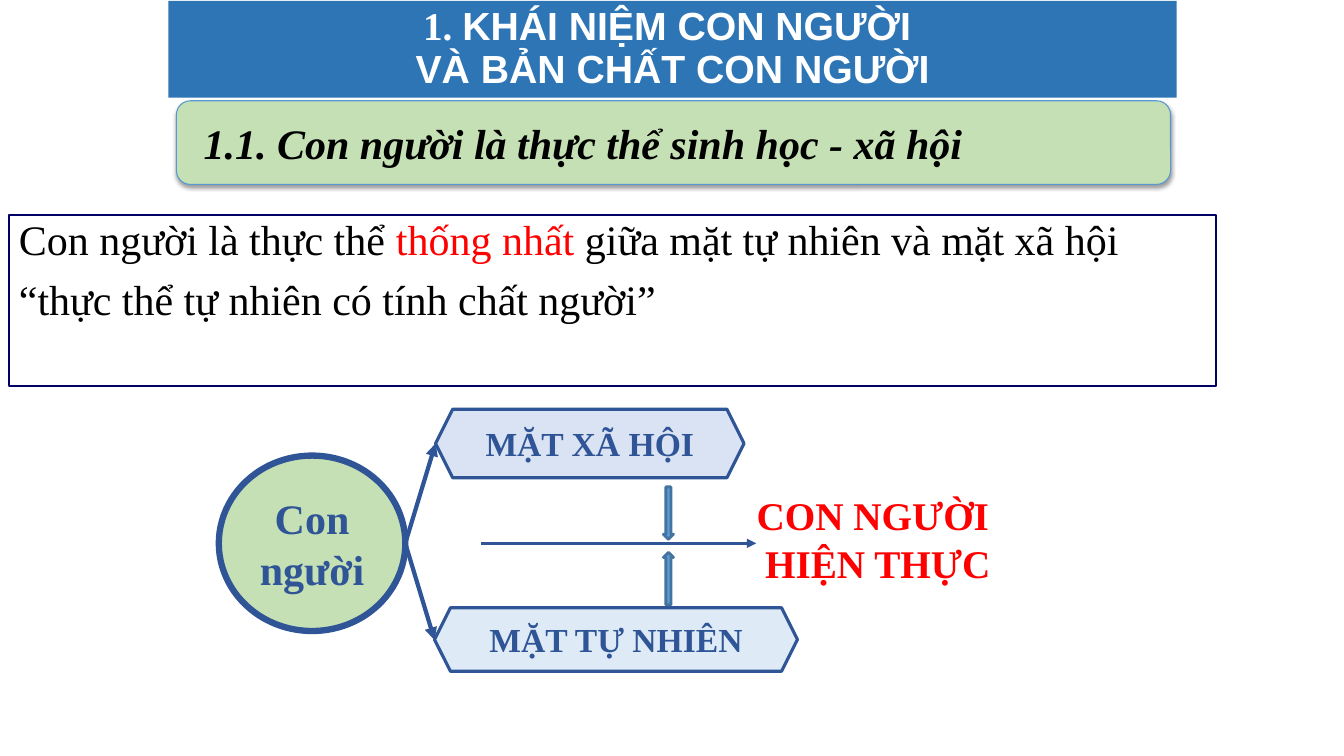
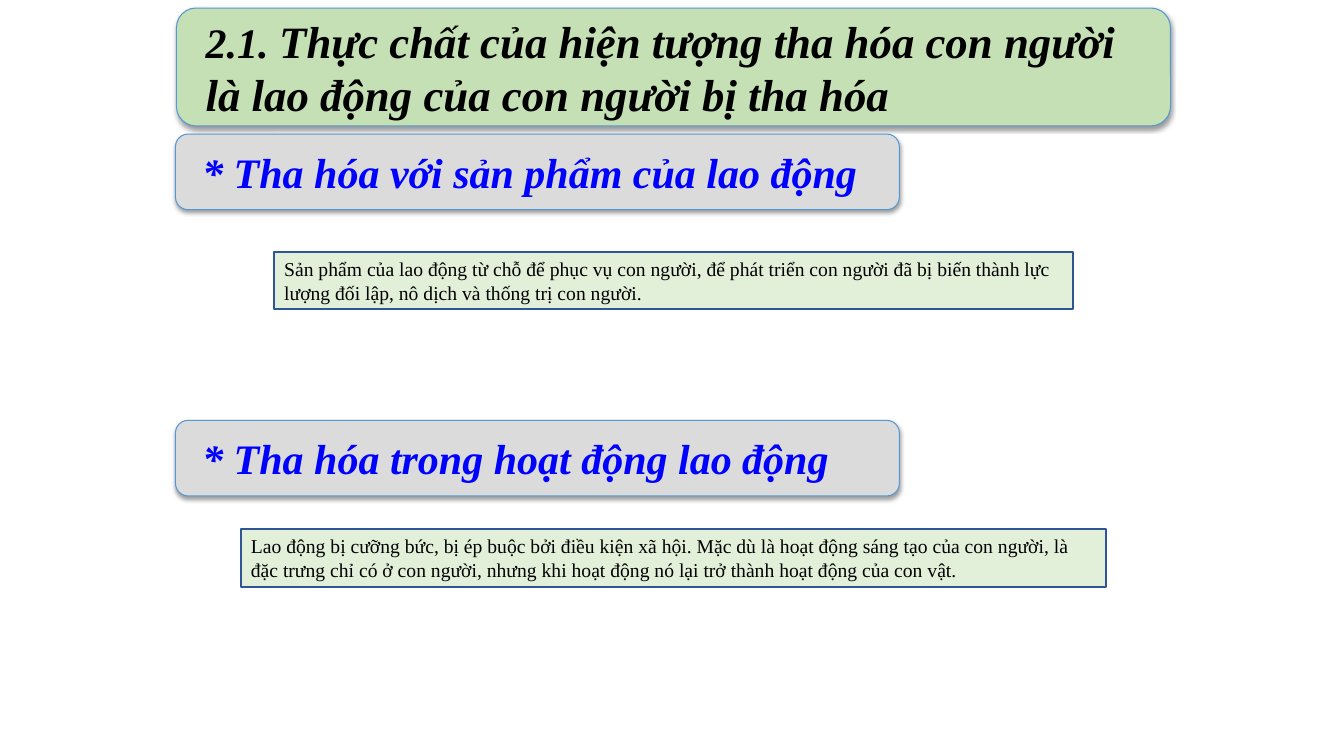
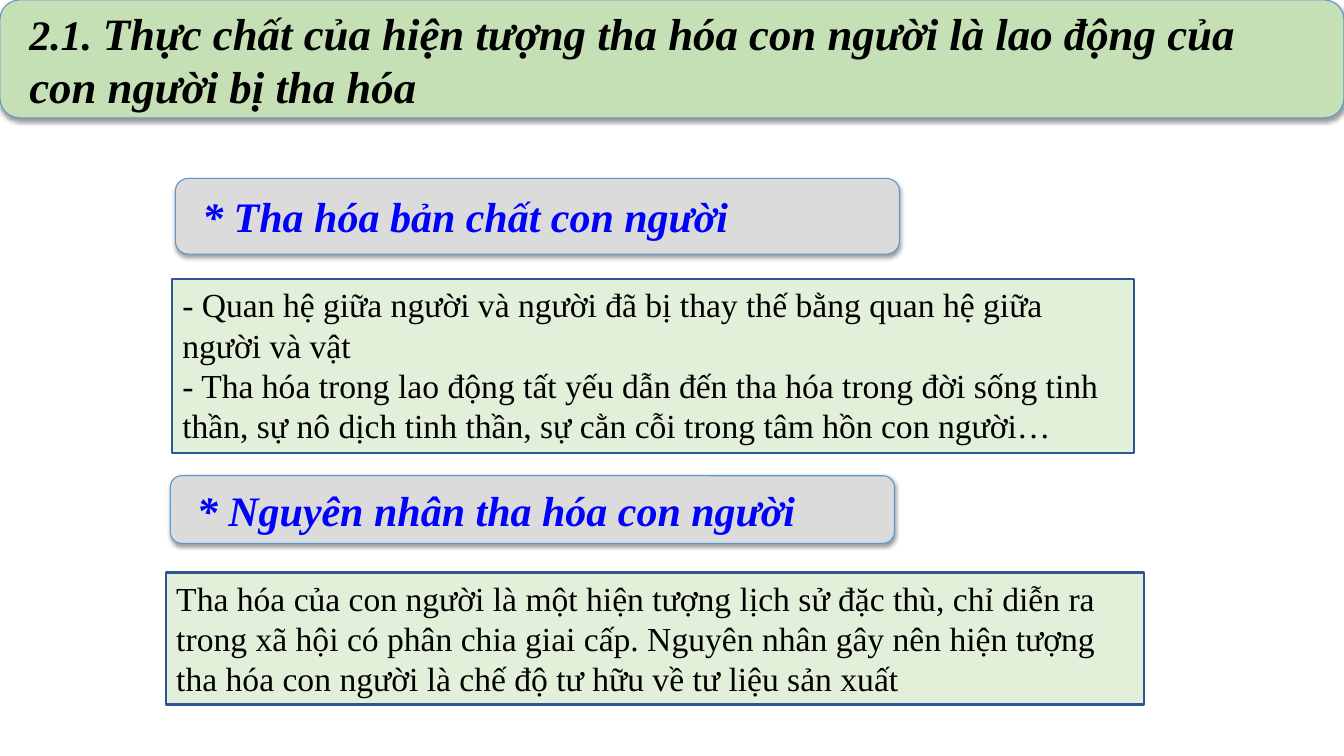
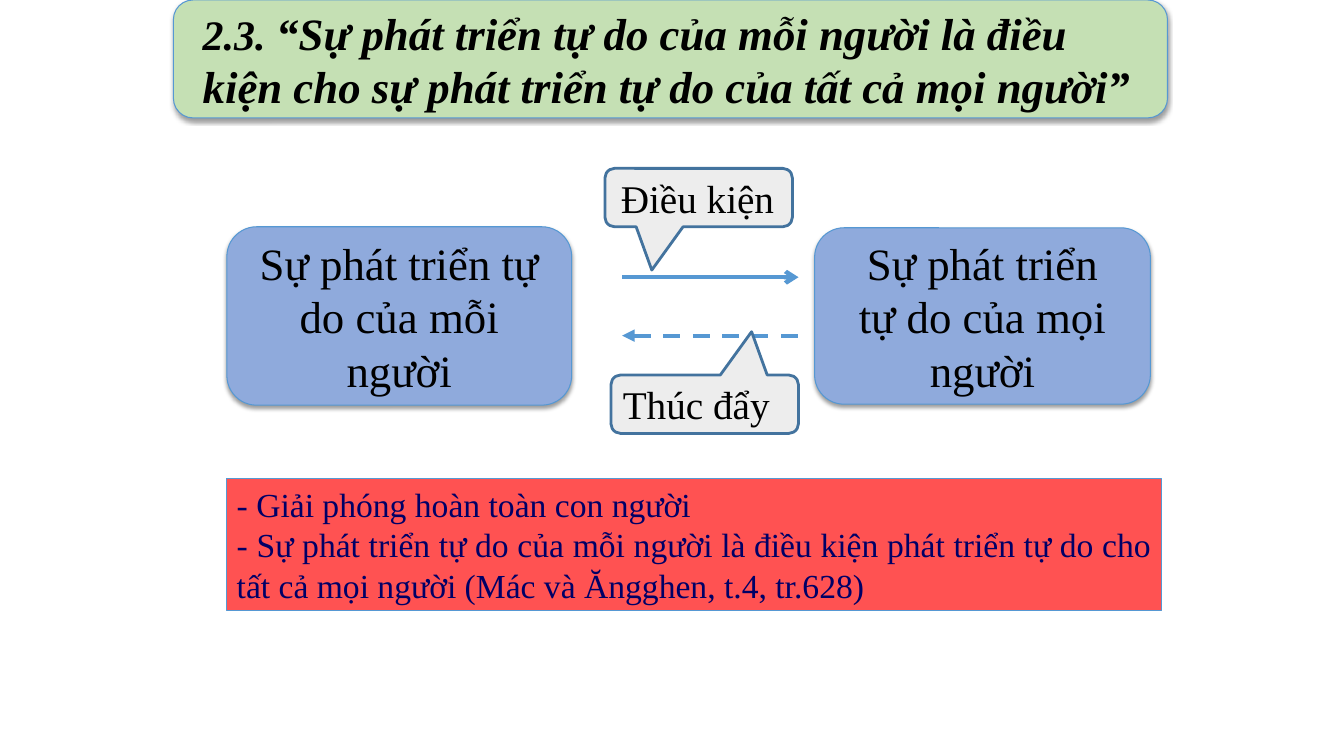
"""Builds four slides on human nature and alienation."""
from dataclasses import dataclass, replace

from pptx import Presentation
from pptx.dml.color import RGBColor
from pptx.enum.dml import MSO_LINE
from pptx.enum.shapes import MSO_CONNECTOR, MSO_SHAPE
from pptx.enum.text import MSO_ANCHOR, MSO_AUTO_SIZE, PP_ALIGN
from pptx.oxml import parse_xml
from pptx.oxml.ns import nsdecls, qn
from pptx.util import Pt

PX = 9144
PAGE_WIDTH, PAGE_HEIGHT = 1333, 750
TITLE_ONLY = 5

LEFT, CENTER, JUSTIFY = PP_ALIGN.LEFT, PP_ALIGN.CENTER, PP_ALIGN.JUSTIFY
TOP, MIDDLE = MSO_ANCHOR.TOP, MSO_ANCHOR.MIDDLE
RECTANGLE, ROUNDED = MSO_SHAPE.RECTANGLE, MSO_SHAPE.ROUNDED_RECTANGLE
HEXAGON, OVAL = MSO_SHAPE.HEXAGON, MSO_SHAPE.OVAL
DOWN_ARROW, UP_ARROW = MSO_SHAPE.DOWN_ARROW, MSO_SHAPE.UP_ARROW
CALLOUT = MSO_SHAPE.ROUNDED_RECTANGULAR_CALLOUT
STRAIGHT = MSO_CONNECTOR.STRAIGHT
DASH = MSO_LINE.DASH

BLACK = RGBColor(0x00, 0x00, 0x00)
WHITE = RGBColor(0xFF, 0xFF, 0xFF)
RED = RGBColor(0xFF, 0x00, 0x00)
BLUE = RGBColor(0x00, 0x00, 0xFF)
INK = RGBColor(0x00, 0x00, 0x66)
NAVY = RGBColor(0x2F, 0x55, 0x97)
BAND_BLUE = RGBColor(0x2E, 0x75, 0xB6)
SKY = RGBColor(0x56, 0x98, 0xD3)
ARROW_BLUE = RGBColor(0x5B, 0x9B, 0xD5)
STEEL = RGBColor(0x43, 0x73, 0x9E)
PERIWINKLE = RGBColor(0x8F, 0xAA, 0xDC)
PALE_INDIGO = RGBColor(0xDA, 0xE3, 0xF3)
PALE_BLUE = RGBColor(0xDE, 0xEB, 0xF7)
GREEN = RGBColor(0xC5, 0xE0, 0xB4)
PALE_GREEN = RGBColor(0xE2, 0xF0, 0xD9)
GREY = RGBColor(0xDB, 0xDB, 0xDB)
PALE_GREY = RGBColor(0xED, 0xED, 0xED)


@dataclass(frozen=True)
class Style:
    """Character formatting of a span."""

    size: int
    color: RGBColor = BLACK
    bold: bool = False
    italic: bool = False
    font: str = "Times New Roman"


HEADING = Style(32, bold=True, italic=True)
HEADING_SMALL = replace(HEADING, size=30)
SUBHEADING = replace(HEADING_SMALL, color=BLUE)
BAND_TITLE = Style(28, WHITE, bold=True, font="Arial")
BODY = Style(30)
LABEL = Style(24, NAVY, bold=True)
RESULT = Style(28, RED, bold=True)


def emu(*lengths):
    """Convert px lengths to EMU."""
    return [length * PX for length in lengths]


def write(shape, paras, align=LEFT, anchor=MIDDLE, insets=(10, 5, 10, 5),
          spacing=None, before=None):
    """Fill a shape with paragraphs, each a list of (text, style) spans."""
    frame = shape.text_frame
    frame.word_wrap = True
    frame.auto_size = MSO_AUTO_SIZE.NONE
    frame.vertical_anchor = anchor
    (frame.margin_left, frame.margin_top,
     frame.margin_right, frame.margin_bottom) = emu(*insets)
    for index, spans in enumerate(paras):
        para = frame.add_paragraph() if index else frame.paragraphs[0]
        para.alignment = align
        if spacing:
            para.line_spacing = spacing
        if before:
            para.space_before = Pt(before)
        for text, style in spans:
            span = para.add_run()
            span.text = text
            font = span.font
            font.name, font.size = style.font, Pt(style.size)
            font.bold, font.italic = style.bold, style.italic
            font.color.rgb = style.color


def add_box(page, kind, box, fill, line, weight):
    """Add a preset shape without a shadow."""
    shape = page.shapes.add_shape(kind, *emu(*box))
    shape.shadow.inherit = False
    if fill is None:
        shape.fill.background()
    else:
        shape.fill.solid()
        shape.fill.fore_color.rgb = fill
    shape.line.color.rgb = line
    shape.line.width = Pt(weight)
    return shape


def add_panel(page, box, fill):
    """Add a rounded panel with a soft shadow below."""
    panel = add_box(page, ROUNDED, box, fill, SKY, 0.75)
    panel.element.spPr.find(qn("a:effectLst")).append(parse_xml(
        f'<a:outerShdw {nsdecls("a")} blurRad="40000" dist="20000" dir="5400000" '
        'rotWithShape="0"><a:srgbClr val="000000"><a:alpha val="38000"/>'
        '</a:srgbClr></a:outerShdw>'))
    return panel


def add_text_panel(page, box, fill, text, style, align=LEFT):
    """Add a shadowed panel holding one paragraph."""
    write(add_panel(page, box, fill), [[(text, style)]], align, insets=(23, 0, 23, 0))


def add_note(page, box, lines, size):
    """Add a pale green note."""
    note = add_box(page, RECTANGLE, box, PALE_GREEN, NAVY, 1.5)
    write(note, [[(line, Style(size))] for line in lines], anchor=TOP)


def add_line(page, start, end, color, weight, head=None, tail=None, dash=None):
    """Add a straight line with optional arrowheads."""
    line = page.shapes.add_connector(STRAIGHT, *emu(*start, *end))
    line.line.color.rgb = color
    line.line.width = Pt(weight)
    if dash:
        line.line.dash_style = dash
    properties = line.element.spPr
    outline = properties.find(qn("a:ln"))
    for tag, kind in (("headEnd", head), ("tailEnd", tail)):
        if kind:
            outline.append(parse_xml(f'<a:{tag} {nsdecls("a")} type="{kind}"/>'))
    properties.append(parse_xml(f'<a:effectLst {nsdecls("a")}/>'))


def add_page(deck):
    """Add a title-only page."""
    return deck.slides.add_slide(deck.slide_layouts[TITLE_ONLY])


def place_title(page, box):
    """Move the title placeholder to a box and return it."""
    title = page.shapes.title
    title.left, title.top, title.width, title.height = emu(*box)
    return title


def add_heading_page(deck, box, number, text):
    """Add a page whose title lies on a green panel."""
    page = add_page(deck)
    title = place_title(page, box)
    panel = add_panel(page, box, GREEN)
    panel.element.addnext(title.element)
    write(title, [[(number, HEADING_SMALL), (text, HEADING)]], insets=(29, 0, 29, 0))
    return page


def build_concept(deck):
    """Build the page on the concept of the human being."""
    page = add_page(deck)
    title = place_title(page, (167, 1, 1000, 96))
    title.fill.solid()
    title.fill.fore_color.rgb = BAND_BLUE
    write(title, [
        [("1. ", replace(BAND_TITLE, font=BODY.font)), ("KHÁI NIỆM CON NGƯỜI ", BAND_TITLE)],
        [("VÀ BẢN CHẤT CON NGƯỜI", BAND_TITLE)],
    ], CENTER, spacing=0.9)
    add_text_panel(page, (175, 100, 986, 83), GREEN,
                   "1.1. Con người là thực thể sinh học - xã hội", HEADING_SMALL)

    statement = add_box(page, RECTANGLE, (9, 213, 1197, 170), None, INK, 1.5)
    write(statement, [
        [("Con người là thực thể ", BODY), ("thống nhất ", replace(BODY, color=RED)),
         ("giữa mặt tự nhiên và mặt xã hội", BODY)],
        [("“thực thể tự nhiên có tính chất người”", BODY)],
    ], anchor=TOP, spacing=0.9, before=10)

    for kind, box, fill, weight, text, style in (
        (HEXAGON, (432, 406, 306, 68), PALE_INDIGO, 2.25, "MẶT XÃ HỘI", LABEL),
        (HEXAGON, (431, 603, 360, 63), PALE_BLUE, 2.25, "MẶT TỰ NHIÊN", LABEL),
        (OVAL, (217, 452, 185, 174), GREEN, 4.5, "Con người", replace(LABEL, size=30)),
    ):
        write(add_box(page, kind, box, fill, NAVY, weight), [[(text, style)]], CENTER)

    for start, end, weight in (
        ((402, 539), (432, 440), 3),
        ((402, 539), (431, 635), 3),
        ((477, 539), (750, 539), 2.25),
    ):
        add_line(page, start, end, NAVY, weight, tail="triangle")

    result = page.shapes.add_textbox(*emu(692, 483, 357, 104))
    write(result, [[("CON NGƯỜI ", RESULT)], [("HIỆN THỰC", RESULT)]], CENTER, TOP)
    for kind, top in ((DOWN_ARROW, 483), (UP_ARROW, 548)):
        add_box(page, kind, (658, top, 10, 52), ARROW_BLUE, STEEL, 2)


def build_alienation(deck, title_box, sections, size):
    """Build a page of alienation subheadings, each with a note."""
    page = add_heading_page(
        deck, title_box, "2.1. ",
        "Thực chất của hiện tượng tha hóa con người là lao động của con người bị tha hóa")
    for heading_box, heading, note_box, lines in sections:
        add_text_panel(page, heading_box, GREY, heading, SUBHEADING)
        add_note(page, note_box, lines, size)


def build_freedom(deck):
    """Build the page on free development."""
    page = add_heading_page(
        deck, (172, 0, 986, 117), "2.3. ",
        "“Sự phát triển tự do của mỗi người là điều kiện cho sự phát triển tự do "
        "của tất cả mọi người”")
    for box, text in (
        ((225, 225, 342, 177), "Sự phát triển tự do của mỗi người"),
        ((808, 226, 333, 175), "Sự phát triển tự do của mọi người"),
    ):
        add_text_panel(page, box, PERIWINKLE, text, Style(32), CENTER)

    add_line(page, (617, 275), (792, 275), SKY, 3, tail="arrow")
    add_line(page, (617, 333), (792, 333), SKY, 3, head="triangle", dash=DASH)
    for left, top, side, inset, text in (
        (600, 167, 1, 13, "Điều kiện"),
        (606, 372, -1, 9, "Thúc đẩy"),
    ):
        callout = add_box(page, CALLOUT, (left, top, 186, 58), PALE_GREY, STEEL, 2)
        callout.adjustments[0] = -0.25 * side
        callout.adjustments[1] = 1.24 * side
        write(callout, [[(text, Style(28))]], insets=(inset, 0, 0, 0))

    goal = add_box(page, RECTANGLE, (225, 475, 927, 131), RED, SKY, 0.75)
    color = goal.element.spPr.find(qn("a:solidFill")).find(qn("a:srgbClr"))
    color.append(parse_xml(f'<a:alpha {nsdecls("a")} val="68000"/>'))
    goal_style = Style(24, INK)
    write(goal, [
        [("- Giải phóng hoàn toàn con người", goal_style)],
        [("- Sự phát triển tự do của mỗi người là điều kiện phát triển tự do cho "
          "tất cả mọi người (Mác và Ăngghen, t.4, tr.628)", goal_style)],
    ], JUSTIFY, TOP)


def main():
    """Build and save the deck."""
    deck = Presentation()
    deck.slide_width, deck.slide_height = emu(PAGE_WIDTH, PAGE_HEIGHT)
    build_concept(deck)
    build_alienation(deck, (175, 8, 986, 117), (
        ((174, 133, 718, 75), "* Tha hóa với sản phẩm của lao động", (272, 250, 792, 57),
         ["Sản phẩm của lao động từ chỗ để phục vụ con người, để phát triển con người "
          "đã bị biến thành lực lượng đối lập, nô dịch và thống trị con người."]),
        ((174, 417, 718, 75), "* Tha hóa trong hoạt động lao động", (239, 525, 858, 57),
         ["Lao động bị cưỡng bức, bị ép buộc bởi điều kiện xã hội. Mặc dù là hoạt động "
          "sáng tạo của con người, là đặc trưng chỉ có ở con người, nhưng khi hoạt động "
          "nó lại trở thành hoạt động của con vật."]),
    ), 14)
    build_alienation(deck, (0, 0, PAGE_WIDTH, 117), (
        ((174, 177, 718, 75), "* Tha hóa bản chất con người", (171, 277, 954, 172),
         ["- Quan hệ giữa người và người đã bị thay thế bằng quan hệ giữa người và vật",
          "- Tha hóa trong lao động tất yếu dẫn đến tha hóa trong đời sống tinh thần, "
          "sự nô dịch tinh thần, sự cằn cỗi trong tâm hồn con người…"]),
        ((169, 472, 718, 67), "* Nguyên nhân tha hóa con người", (165, 568, 970, 131),
         ["Tha hóa của con người là một hiện tượng lịch sử đặc thù, chỉ diễn ra trong "
          "xã hội có phân chia giai cấp. Nguyên nhân gây nên hiện tượng tha hóa con "
          "người là chế độ tư hữu về tư liệu sản xuất"]),
    ), 24)
    build_freedom(deck)
    deck.save("out.pptx")


if __name__ == "__main__":
    main()
